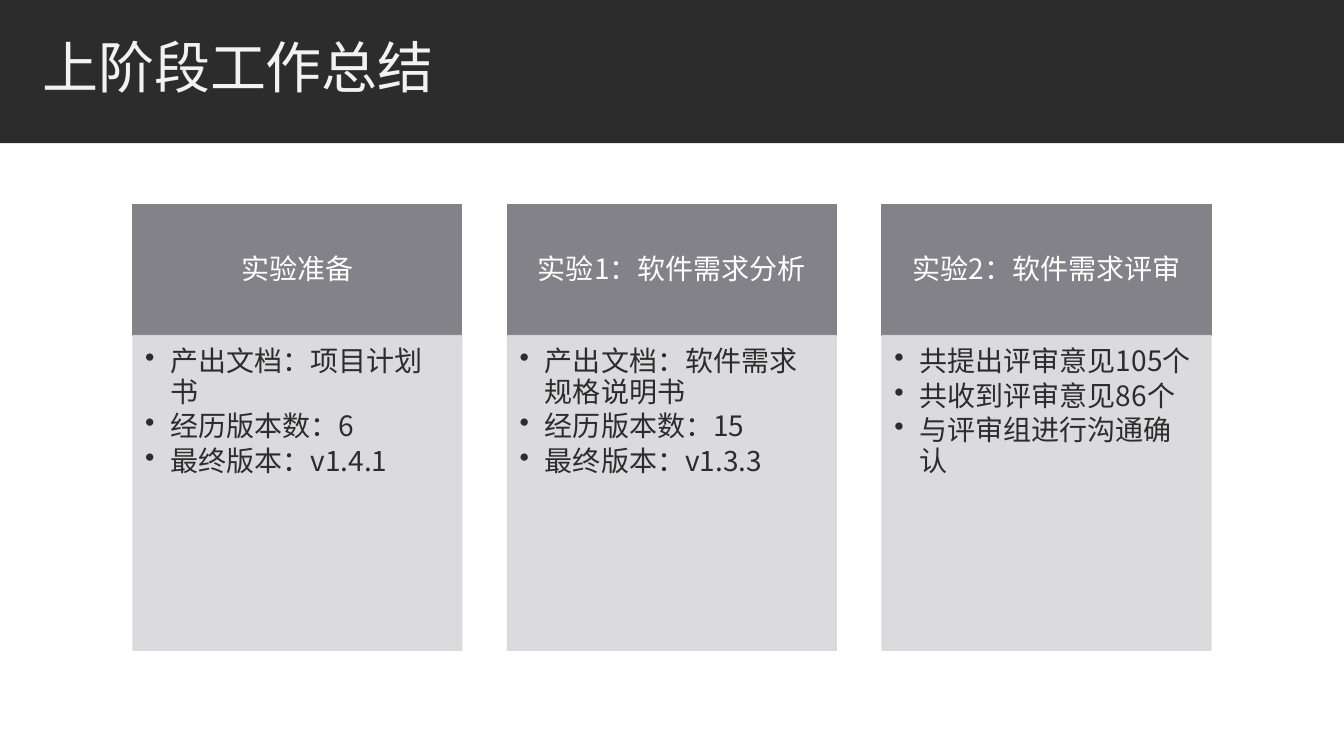
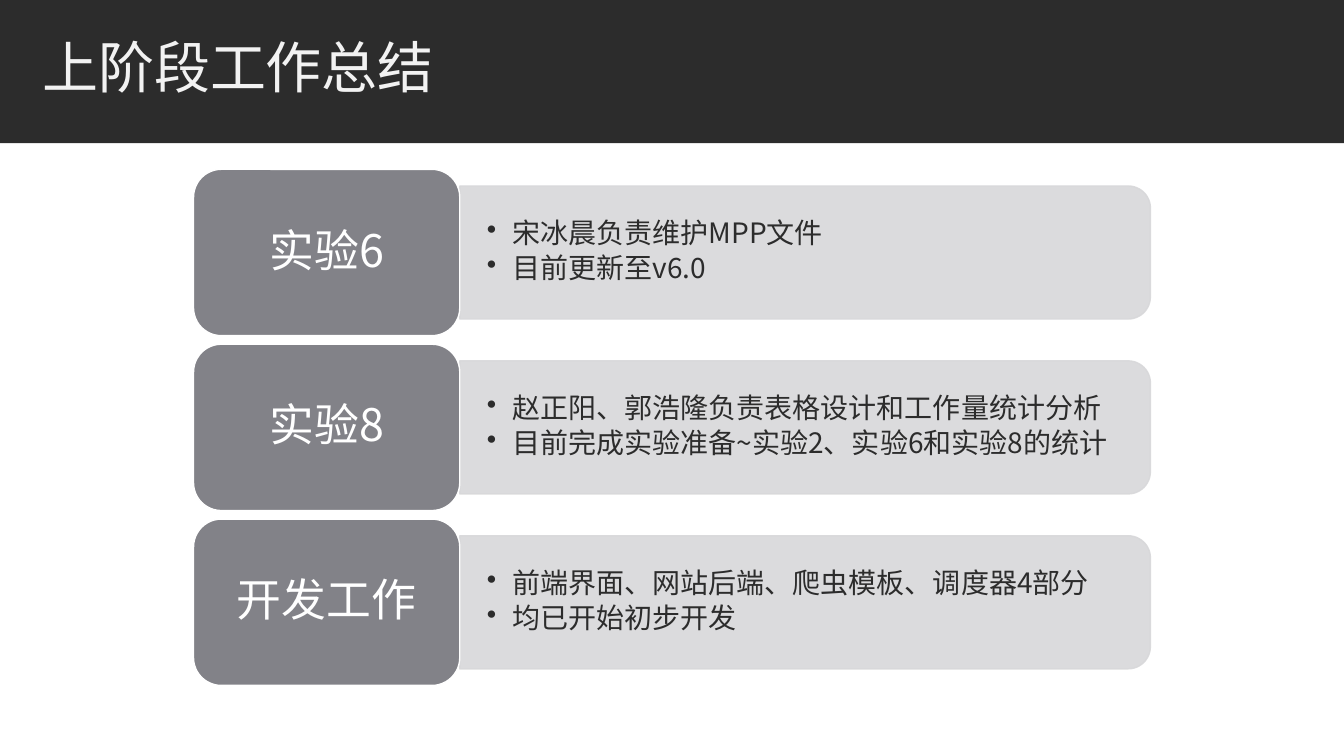
from lxml import etree
from pptx import Presentation
from pptx.dml.color import RGBColor
from pptx.enum.shapes import MSO_SHAPE
from pptx.enum.text import MSO_ANCHOR, PP_ALIGN
from pptx.oxml.ns import qn
from pptx.util import Emu, Pt

RECT = MSO_SHAPE.RECTANGLE
ROUND = MSO_SHAPE.ROUNDED_RECTANGLE
TAB = MSO_SHAPE.ROUND_2_SAME_RECTANGLE
TOP, MIDDLE = MSO_ANCHOR.TOP, MSO_ANCHOR.MIDDLE
LEFT, CENTER = PP_ALIGN.LEFT, PP_ALIGN.CENTER

SCALE = 9144  # EMU in one px, 100 px to the inch
WIDTH, HEIGHT = 1333, 750
FONT = "Noto Sans CJK SC"
COLORS = {
    "band": "2C2C2C",
    "title": "F2F2F2",
    "head": "828288",
    "panel": "D8D8DA",
    "text": "2C2C2C",
    "white": "FFFFFF",
}
TITLE = "上阶段工作总结"
CARDS = [
    ("实验准备", ["产出文档：项目计划书", "经历版本数：6", "最终版本：v1.4.1"]),
    ("实验1：软件需求分析",
     ["产出文档：软件需求规格说明书", "经历版本数：15", "最终版本：v1.3.3"]),
    ("实验2：软件需求评审",
     ["共提出评审意见105个", "共收到评审意见86个", "与评审组进行沟通确认"]),
]
ROWS = [
    ("实验6", ["宋冰晨负责维护MPP文件", "目前更新至v6.0"]),
    ("实验8", ["赵正阳、郭浩隆负责表格设计和工作量统计分析",
             "目前完成实验准备~实验2、实验6和实验8的统计"]),
    ("开发工作", ["前端界面、网站后端、爬虫模板、调度器4部分", "均已开始初步开发"]),
]


def px(value):
    return Emu(round(value * SCALE))


def color(key):
    return RGBColor.from_string(COLORS[key])


def spread(start, end, size, count):
    """Return the starts of equal items that fill a span with equal gaps."""
    gap = (end - start - size * count) / (count - 1)
    return [start + i * (size + gap) for i in range(count)]


def add_shape(slide, kind, box, fill, line=None, alpha=None):
    shape = slide.shapes.add_shape(kind, *map(px, box))
    shape.shadow.inherit = False
    shape.fill.solid()
    shape.fill.fore_color.rgb = color(fill)
    if line:
        shape.line.color.rgb = color(line)
        shape.line.width = Pt(1)
    else:
        shape.line.fill.background()
    if alpha:
        for node in shape._element.spPr.iter(qn("a:srgbClr")):
            etree.SubElement(node, qn("a:alpha"), val=str(alpha * 1000))
    return shape


def add_box(slide, box):
    return slide.shapes.add_textbox(*map(px, box))


def add_bullet(para):
    props = para._p.get_or_add_pPr()
    props.set("marL", str(px(25)))
    props.set("indent", str(px(-25)))
    mark = etree.Element(qn("a:buChar"), char="•")
    props.find(qn("a:defRPr")).addprevious(mark)


def write(shape, lines, size, ink, insets=(10, 5, 10, 5), anchor=MIDDLE,
          align=LEFT, space=0.9, bullets=False):
    frame = shape.text_frame
    frame.word_wrap = True
    frame.vertical_anchor = anchor
    (frame.margin_left, frame.margin_top,
     frame.margin_right, frame.margin_bottom) = map(px, insets)
    frame.text = "\n".join(lines)
    for para in frame.paragraphs:
        para.alignment = align
        para.line_spacing = space
        font = para.font
        font.size = Pt(size)
        font.color.rgb = color(ink)
        font.name = FONT
        base = para._p.pPr.find(qn("a:defRPr"))
        etree.SubElement(base, qn("a:ea"), typeface=FONT)
        if bullets:
            para.space_after = Pt(3)
            add_bullet(para)


def add_slide(deck):
    """Add a blank slide with the title band."""
    slide = deck.slides.add_slide(deck.slide_layouts[6])
    add_shape(slide, RECT, (0, 0, WIDTH, 142), "band")
    title = add_box(slide, (32, 26, 1070, 90))
    write(title, [TITLE], 40, "title", space=0.85)
    return slide


def add_card(slide, left, name, points):
    head = add_shape(slide, RECT, (left, 203, 326, 130), "head", "head")
    write(head, [name], 20, "white", (16, 9, 16, 9), align=CENTER)
    panel = add_shape(slide, RECT, (left, 333, 326, 312), "panel", "panel", 90)
    write(panel, points, 20, "text", (12, 12, 16, 17), TOP, bullets=True)


def add_row(slide, top, high, name, points):
    left, split, wide, thick = 192, 456, 685, 132
    mid = top + high / 2
    # The panel is a tall tab turned on its side about its centre.
    box = (split + (wide - thick) / 2, mid - wide / 2, thick, wide)
    panel = add_shape(slide, TAB, box, "panel", "panel", 90)
    panel.rotation = 90
    body = add_box(slide, (split, mid - 60, 678, 119))
    write(body, points, 20, "text", (27, 14, 27, 14), bullets=True)
    head = add_shape(slide, ROUND, (left, top, split - left, high),
                     "head", "white")
    write(head, [name], 32, "white", (13, 7, 13, 7), align=CENTER)


def main():
    deck = Presentation()
    deck.slide_width, deck.slide_height = px(WIDTH), px(HEIGHT)

    slide = add_slide(deck)
    for left, card in zip(spread(132, WIDTH - 132, 326, len(CARDS)), CARDS):
        add_card(slide, left, *card)

    slide = add_slide(deck)
    high = 165
    for top, row in zip(spread(168, 680, high, len(ROWS)), ROWS):
        add_row(slide, top, high, *row)

    deck.save("out.pptx")


if __name__ == "__main__":
    main()
